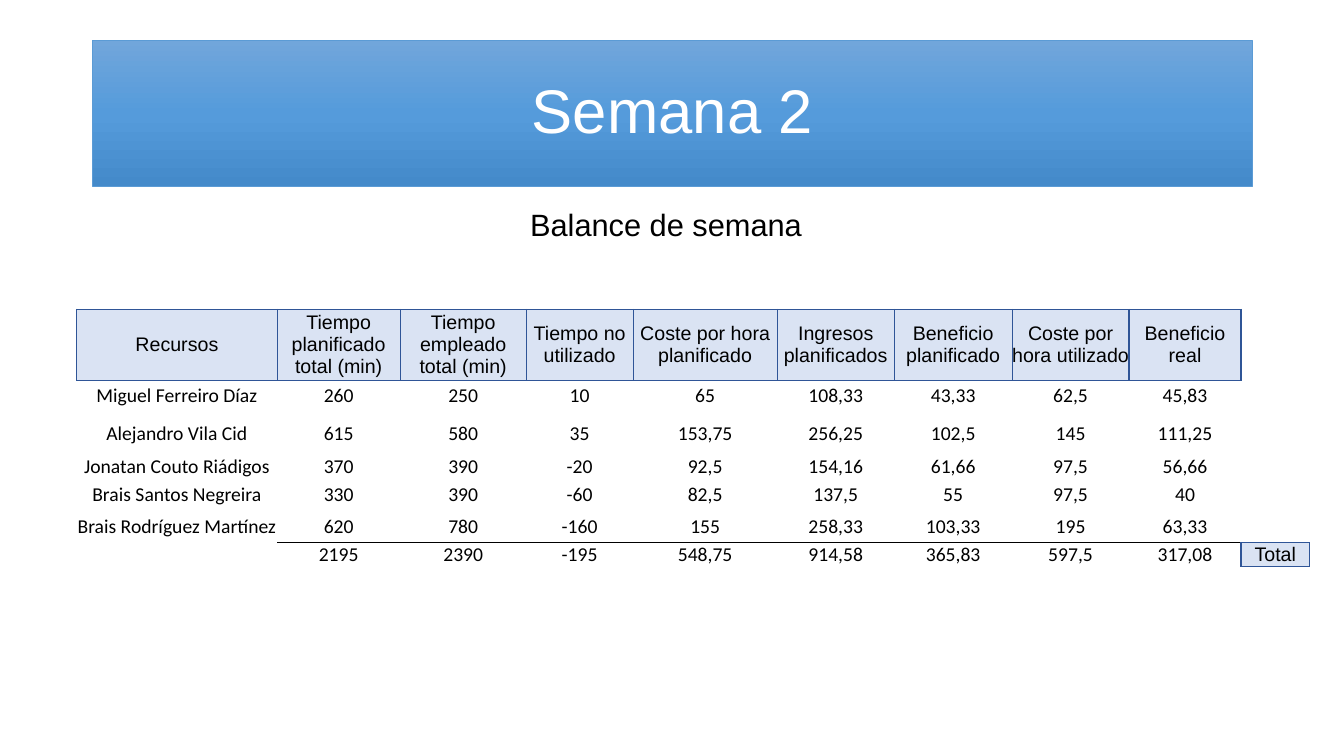
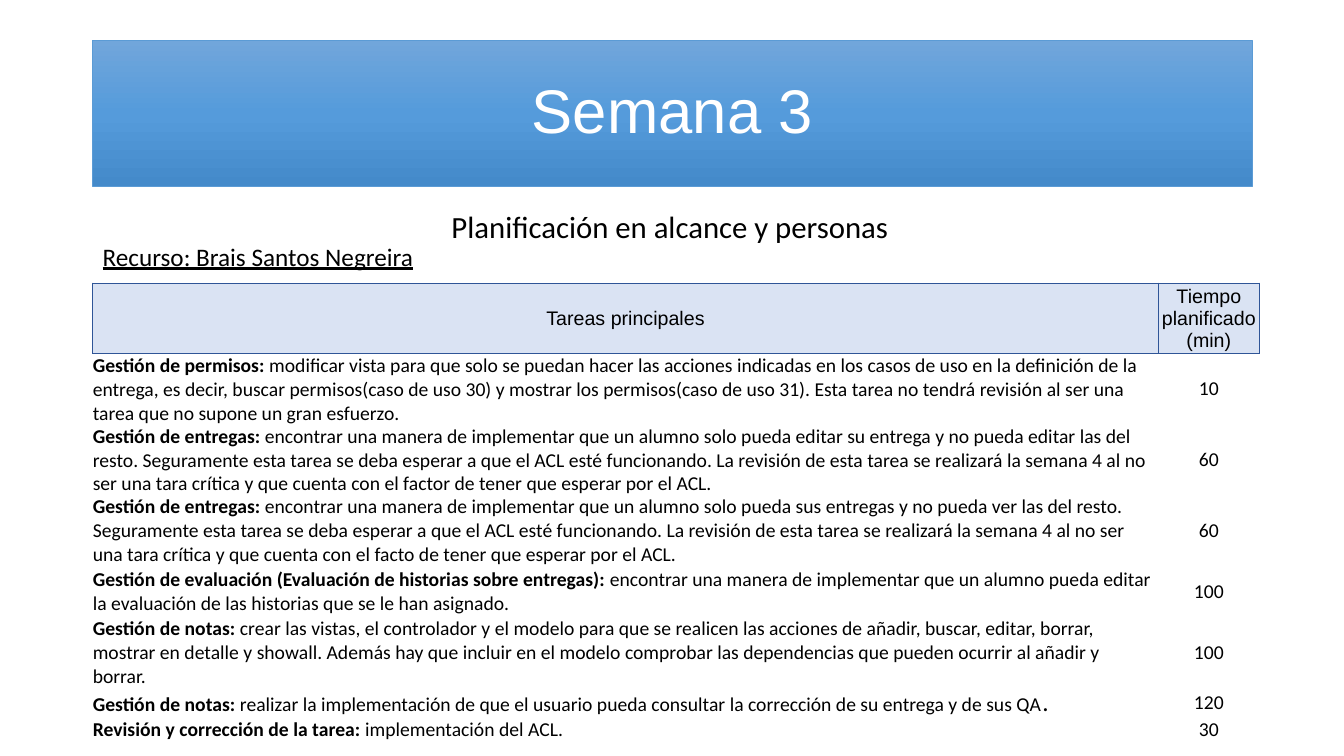
from lxml import etree
from pptx import Presentation
from pptx.dml.color import RGBColor
from pptx.enum.shapes import MSO_SHAPE
from pptx.enum.text import MSO_ANCHOR, MSO_AUTO_SIZE, PP_ALIGN
from pptx.oxml.ns import qn
from pptx.util import Inches, Pt

RECTANGLE = MSO_SHAPE.RECTANGLE
MIDDLE = MSO_ANCHOR.MIDDLE
GROW = MSO_AUTO_SIZE.SHAPE_TO_FIT_TEXT
LEFT, CENTER = PP_ALIGN.LEFT, PP_ALIGN.CENTER

SLIDE_WIDTH, SLIDE_HEIGHT = 13.33, 7.5
MARGIN = 0.92
TITLE_BOX = (MARGIN, 0.4, 11.5, 1.45)
TITLE_GRADIENT = ((0, "71A6DB"), (50, "559BDB"), (100, "448ACA"))
TITLE_EDGE = "5B9BD5"
HEADER_FILL, HEADER_EDGE = "DAE3F3", "2F5597"
BLACK, WHITE = "000000", "FFFFFF"
HEADING_FONT, BODY_FONT = "Arial", "Calibri"
TABLE_SIZE = 14
CELL_INSET = 0.03
PLAIN_TABLE_STYLE = "{2D5ABB26-0587-4C30-8999-92F81FD0307C}"

BALANCE_COLUMNS = (1.99, 1.22, 1.25, 1.06, 1.43, 1.16, 1.17, 1.16, 1.11, 0.68)
BALANCE_ROWS = (0.41, 0.32, 0.42, 0.16, 0.32, 0.32, 0.17)
BALANCE = (
    ("Recursos", "Tiempo planificado total (min)", "Tiempo empleado total (min)",
     "Tiempo no utilizado", "Coste por hora planificado", "Ingresos planificados",
     "Beneficio planificado", "Coste por hora utilizado", "Beneficio real", ""),
    ("Miguel Ferreiro Díaz", "260", "250", "10", "65", "108,33", "43,33", "62,5", "45,83", ""),
    ("Alejandro Vila Cid", "615", "580", "35", "153,75", "256,25", "102,5", "145", "111,25", ""),
    ("Jonatan Couto Riádigos", "370", "390", "-20", "92,5", "154,16", "61,66", "97,5", "56,66", ""),
    ("Brais Santos Negreira", "330", "390", "-60", "82,5", "137,5", "55", "97,5", "40", ""),
    ("Brais Rodríguez Martínez", "620", "780", "-160", "155", "258,33", "103,33", "195", "63,33", ""),
    ("", "2195", "2390", "-195", "548,75", "914,58", "365,83", "597,5", "317,08", "Total"),
)

TASK_COLUMNS = (10.57, 1)
TASK_ROWS = (0.22, 0.23, 0.09, 0.48, 0.51, 0.05, 0.05, 0.05)
TASK_HEADERS = ("Tareas principales", "Tiempo planificado (min)")
TASKS = (
    ("Gestión de permisos:",
     " modificar vista para que solo se puedan hacer las acciones indicadas en los casos de uso "
     "en la definición de la entrega, es decir, buscar permisos(caso de uso 30) y mostrar los "
     "permisos(caso de uso 31). Esta tarea no tendrá revisión al ser una tarea que no supone un "
     "gran esfuerzo.", "10"),
    ("Gestión de entregas:",
     " encontrar una manera de implementar que un alumno solo pueda editar su entrega y no pueda "
     "editar las del resto. Seguramente esta tarea se deba esperar a que el ACL esté funcionando. "
     "La revisión de esta tarea se realizará la semana 4 al no ser una tara crítica y que cuenta "
     "con el factor de tener que esperar por el ACL.", "60"),
    ("Gestión de entregas:",
     " encontrar una manera de implementar que un alumno solo pueda sus entregas y no pueda ver "
     "las del resto. Seguramente esta tarea se deba esperar a que el ACL esté funcionando. La "
     "revisión de esta tarea se realizará la semana 4 al no ser una tara crítica y que cuenta con "
     "el facto de tener que esperar por el ACL.", "60"),
    ("Gestión de evaluación (Evaluación de historias sobre entregas):",
     " encontrar una manera de implementar que un alumno pueda editar la evaluación de las "
     "historias que se le han asignado.", "100"),
    ("Gestión de notas:",
     " crear las vistas, el controlador y el modelo para que se realicen las acciones de añadir, "
     "buscar, editar, borrar, mostrar en detalle y showall. Además hay que incluir en el modelo "
     "comprobar las dependencias que pueden ocurrir al añadir y borrar.", "100"),
    ("Gestión de notas:",
     " realizar la implementación de que el usuario pueda consultar la corrección de su entrega y "
     "de sus QA", "120"),
    ("Revisión y corrección de la tarea:", " implementación del ACL.", "30"),
)
LARGE_STOP_TASK = 6


def rgb(value):
    """Turn a hex string into a colour."""
    return RGBColor.from_string(value)


def inches(box):
    """Convert a box of inch values to lengths."""
    return [Inches(length) for length in box]


def style(paragraph, font, size, color=BLACK, align=LEFT):
    """Set the font and alignment of a whole paragraph."""
    paragraph.alignment = align
    paragraph.font.name = font
    paragraph.font.size = Pt(size)
    paragraph.font.color.rgb = rgb(color)


def add_title(slide, text):
    """Place the gradient title band."""
    band = slide.shapes.add_shape(RECTANGLE, *inches(TITLE_BOX))
    band.shadow.inherit = False
    band.line.color.rgb = rgb(TITLE_EDGE)
    band.line.width = Pt(0.5)
    band.fill.gradient()
    band.fill.gradient_angle = 270
    stops = next(band._element.iter(qn("a:gsLst")))
    for stop in list(stops):
        stops.remove(stop)
    for percent, color in TITLE_GRADIENT:
        stop = etree.SubElement(stops, qn("a:gs"), pos=str(percent * 1000))
        etree.SubElement(stop, qn("a:srgbClr"), val=color)
    band.text_frame.vertical_anchor = MIDDLE
    paragraph = band.text_frame.paragraphs[0]
    paragraph.text = text
    paragraph.line_spacing = 0.9
    style(paragraph, HEADING_FONT, 44, WHITE, CENTER)


def add_label(slide, box, text, font, size, wrap=True, underline=False):
    """Place one line of text that sizes its own box."""
    frame = slide.shapes.add_textbox(*inches(box)).text_frame
    frame.word_wrap = wrap
    frame.auto_size = GROW
    paragraph = frame.paragraphs[0]
    paragraph.text = text
    style(paragraph, font, size)
    if underline:
        paragraph.font.underline = True


def add_grid(slide, left, top, columns, rows):
    """Place an unstyled table with the given column widths and row heights."""
    box = inches((left, top, sum(columns), sum(rows)))
    table = slide.shapes.add_table(len(rows), len(columns), *box).table
    table.first_row = table.horz_banding = False
    next(table._tbl.iter(qn("a:tableStyleId"))).text = PLAIN_TABLE_STYLE
    for column, width in zip(table.columns, columns):
        column.width = Inches(width)
    for row, height in zip(table.rows, rows):
        row.height = Inches(height)
    return table


def add_borders(cell, edges, color, width):
    """Draw the named edges (in the order L, R, T, B) of a cell."""
    properties = cell._tc.get_or_add_tcPr()
    for edge in edges:
        line = etree.SubElement(properties, qn(f"a:ln{edge}"), w=str(Pt(width)))
        solid = etree.SubElement(line, qn("a:solidFill"))
        etree.SubElement(solid, qn("a:srgbClr"), val=color)


def fill_cell(cell, text, font=BODY_FONT, fill=None, align=CENTER, inset=0):
    """Write and format one cell, returning its paragraph."""
    cell.margin_left = cell.margin_right = Inches(inset)
    cell.margin_top = cell.margin_bottom = 0
    cell.vertical_anchor = MIDDLE
    if fill:
        cell.fill.solid()
        cell.fill.fore_color.rgb = rgb(fill)
    else:
        cell.fill.background()
    paragraph = cell.text_frame.paragraphs[0]
    style(paragraph, font, TABLE_SIZE, align=align)
    if text:
        paragraph.add_run().text = text
    else:
        etree.SubElement(paragraph._p, qn("a:endParaRPr"), sz=str(TABLE_SIZE * 100))
    return paragraph


def fill_header(cell, text):
    """Format a bordered, tinted heading cell."""
    add_borders(cell, "LRTB", HEADER_EDGE, 1)
    fill_cell(cell, text, HEADING_FONT, HEADER_FILL)


def add_balance(slide, left, top):
    """Place the weekly balance with its totals row."""
    table = add_grid(slide, left, top, BALANCE_COLUMNS, BALANCE_ROWS)
    totals_row, total_column = len(BALANCE) - 1, len(BALANCE_COLUMNS) - 1
    for row, values in enumerate(BALANCE):
        for column, value in enumerate(values):
            cell = table.cell(row, column)
            if value and (row == 0 or column == total_column):
                fill_header(cell, value)
            elif column == 0:
                fill_cell(cell, value, fill=WHITE if value else None)
            else:
                if value and row >= totals_row - 1:
                    add_borders(cell, "T" if row == totals_row else "B", BLACK, 0.5)
                fill_cell(cell, value, inset=CELL_INSET)


def add_tasks(slide, left, top):
    """Place the task list with its planned minutes."""
    table = add_grid(slide, left, top, TASK_COLUMNS, TASK_ROWS)
    for column, header in enumerate(TASK_HEADERS):
        fill_header(table.cell(0, column), header)
    for row, (name, detail, minutes) in enumerate(TASKS, start=1):
        task = fill_cell(table.cell(row, 0), name, align=LEFT)
        task.runs[0].font.bold = True
        task.add_run().text = detail
        if row == LARGE_STOP_TASK:
            stop = task.add_run()
            stop.text = "."
            stop.font.size = Pt(18)
        fill_cell(table.cell(row, 1), minutes)


def balance_slide(slide):
    """Build the balance of week 2."""
    add_title(slide, "Semana 2")
    add_label(slide, (5.16, 1.99, 2.93, 0.47), "Balance de semana", HEADING_FONT, 22, wrap=False)
    add_balance(slide, 0.76, 3.07)


def planning_slide(slide):
    """Build the planning of week 3 for one person."""
    add_title(slide, "Semana 3")
    add_label(slide, (4.38, 2.01, 4.57, 0.47), "Planificación en alcance y personas", BODY_FONT, 22)
    add_label(slide, (MARGIN, 2.34, 3.67, 0.4), "Recurso: Brais Santos Negreira", BODY_FONT, 18,
              underline=True)
    add_tasks(slide, MARGIN, 2.81)


def main():
    """Build and save the presentation."""
    deck = Presentation()
    deck.slide_width, deck.slide_height = inches((SLIDE_WIDTH, SLIDE_HEIGHT))
    blank = deck.slide_layouts[6]
    for build in (balance_slide, planning_slide):
        build(deck.slides.add_slide(blank))
    deck.save("out.pptx")


main()
